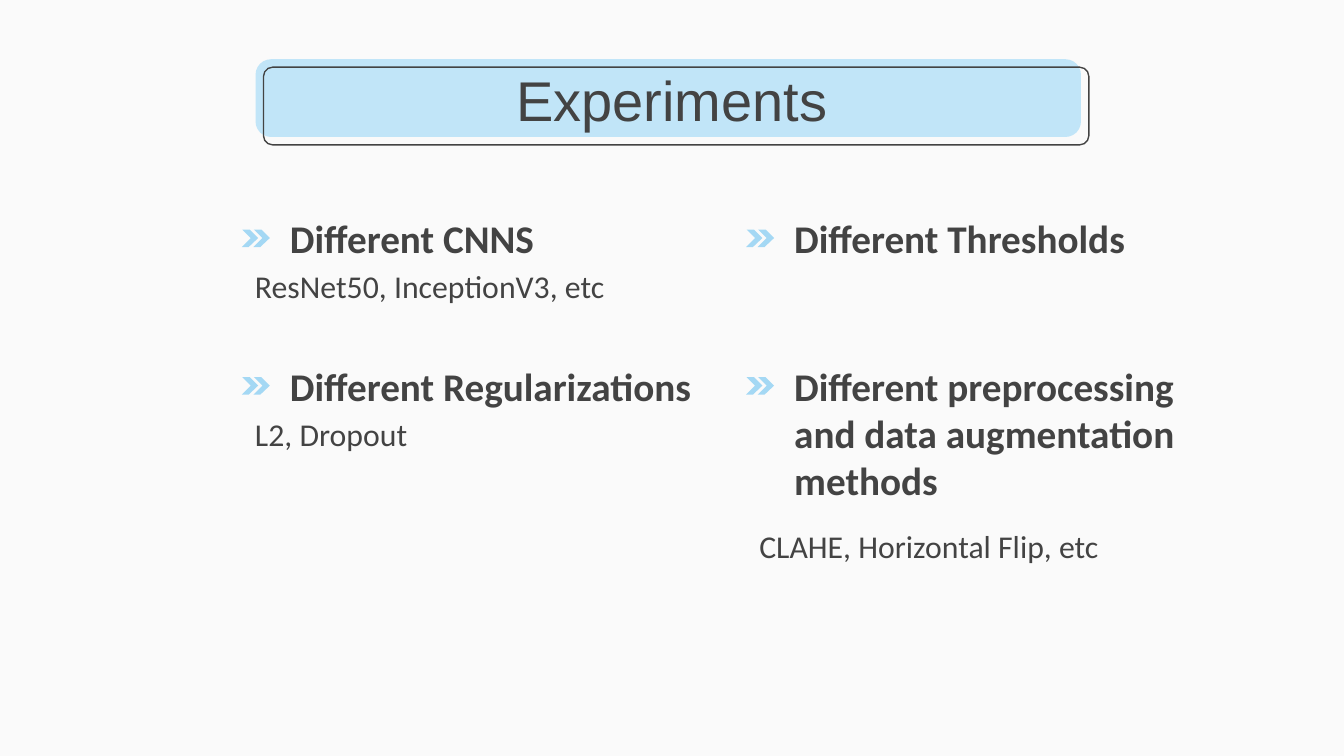
from pptx import Presentation
from pptx.dml.color import RGBColor
from pptx.enum import shapes, text
from pptx.util import Cm, Pt

INK, SKY, BLUE = "434343", "C1E5F8", "A4D8F4"


def paint(fill, color):
    fill.solid()
    fill.fore_color.rgb = RGBColor.from_string(color)


def write(box, words, size, face, bold=False):
    frame = box.text_frame
    frame.text = words
    frame.word_wrap = True
    frame.auto_size = text.MSO_AUTO_SIZE.NONE
    frame.margin_left = frame.margin_right = Cm(0.25)
    frame.margin_top = frame.margin_bottom = Cm(0.25)
    font = frame.paragraphs[0].runs[0].font
    font.name, font.size, font.bold = face, Pt(size), bold
    font.color.rgb = RGBColor.from_string(INK)
    return frame


deck = Presentation()
deck.slide_width, deck.slide_height = Cm(25.4), Cm(14.29)
slide = deck.slides.add_slide(deck.slide_layouts[5])
paint(slide.background.fill, "FAFAFA")

# Title band: a filled bar and a shifted outline
for left, top, bend in [(4.83, 1.12, 0.2), (4.98, 1.27, 0.12)]:
    band = slide.shapes.add_shape(
        shapes.MSO_SHAPE.ROUNDED_RECTANGLE,
        Cm(left), Cm(top), Cm(15.6), Cm(1.47))
    band.adjustments[0] = bend
    band.shadow.inherit = False
    if bend == 0.2:
        paint(band.fill, SKY)
        band.line.fill.background()
    else:
        band.fill.background()
        paint(band.line.fill, INK)
        band.line.width = Pt(0.75)

title = slide.shapes.title
title.left, title.top = Cm(4.95), Cm(1.19)
title.width, title.height = Cm(15.5), Cm(1.35)
frame = write(title, "Experiments", 30, "Arial")
frame.vertical_anchor = text.MSO_ANCHOR.MIDDLE
frame.paragraphs[0].alignment = text.PP_ALIGN.CENTER
slide.shapes._spTree.append(title._element)  # bring in front of the band

# Column, row, heading, heading width and height, detail, detail top
items = [
    (0, 0, "Different CNNS", 7.62, 1.42, "ResNet50, InceptionV3, etc", 4.8),
    (1, 0, "Different Thresholds", 7.62, 1.42, None, None),
    (0, 1, "Different Regularizations", 8.18, 1.42, "L2, Dropout", 7.59),
    (1, 1, "Different preprocessing and data augmentation methods",
     8.18, 3.07, "CLAHE, Horizontal Flip, etc", 9.7),
]
arrow = [(0.17, 0.16), (0, 0.33), (0.13, 0.33), (0.31, 0.16), (0.15, 0)]

for col, row, head, width, height, note, low in items:
    left, top = 4.57 + 9.53 * col, 3.81 + 2.79 * row
    box = slide.shapes.add_textbox(
        Cm(left + 0.66), Cm(top), Cm(width), Cm(height))
    write(box, head, 21, "Calibri", True)

    for shift in (0, 0.22):
        x, y = left + shift, top + 0.53
        pen = slide.shapes.build_freeform(Cm(x + 0.01), Cm(y))
        pen.add_line_segments([(Cm(x + dx), Cm(y + dy)) for dx, dy in arrow])
        mark = pen.convert_to_shape()
        mark.shadow.inherit = False
        paint(mark.fill, BLUE)
        mark.line.fill.background()

    if note:
        box = slide.shapes.add_textbox(Cm(left), Cm(low), Cm(7.62), Cm(1.27))
        frame = write(box, note, 17, "Calibri")
        frame.paragraphs[0].space_after = Pt(10)

deck.save("out.pptx")
